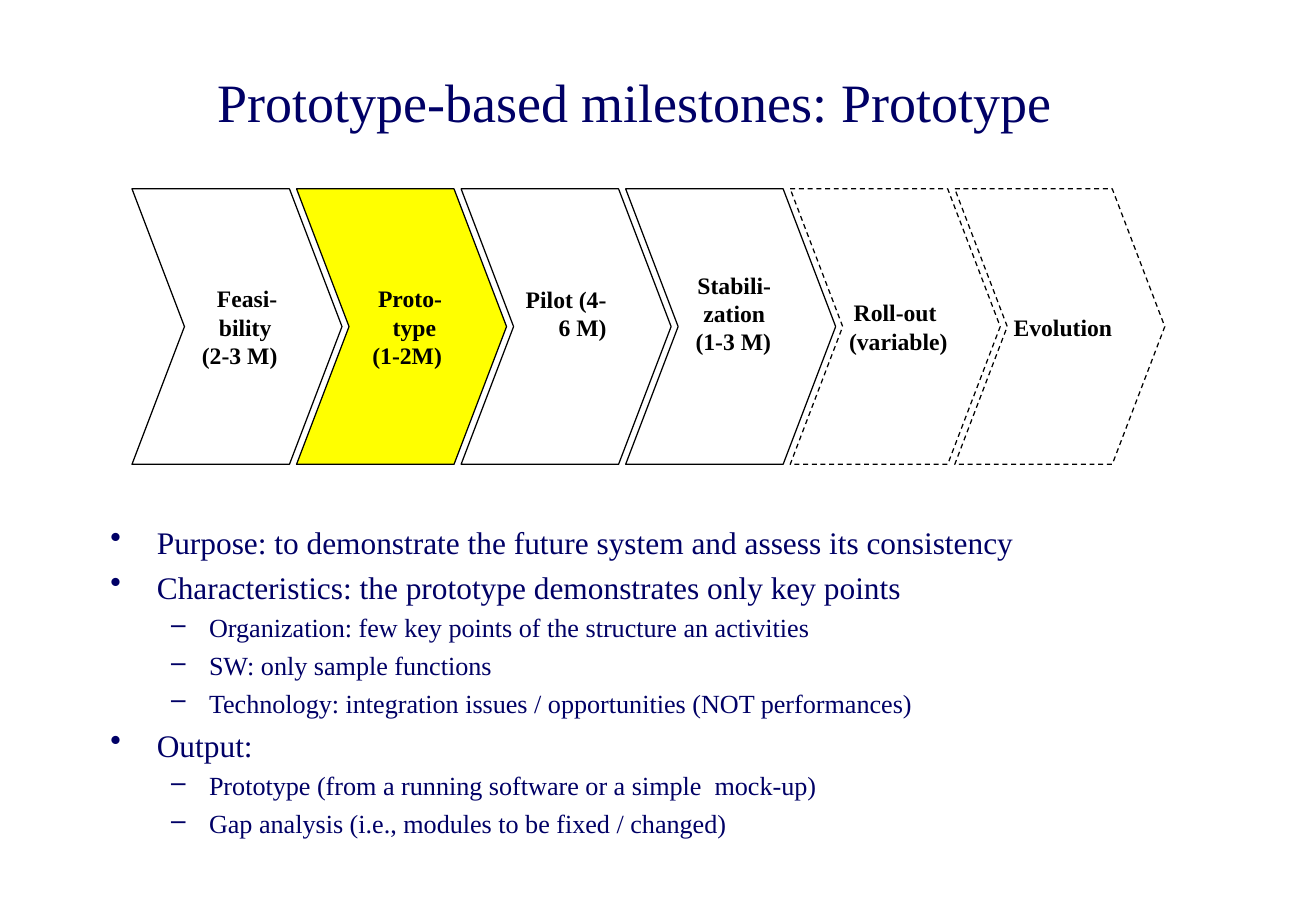
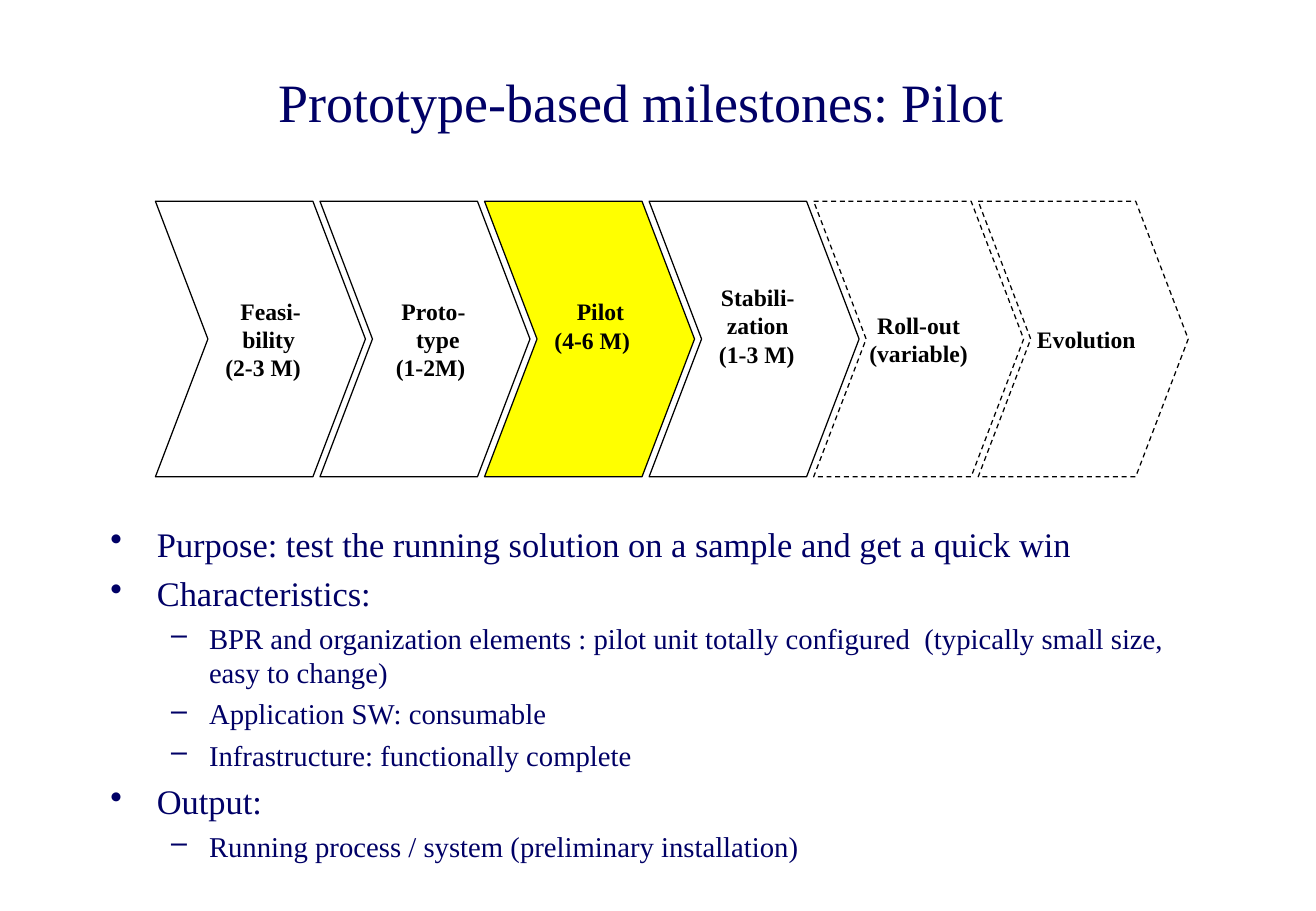
from dataclasses import dataclass

from lxml.etree import SubElement
from pptx import Presentation
from pptx.dml.color import RGBColor
from pptx.enum.dml import MSO_LINE
from pptx.enum.shapes import MSO_SHAPE
from pptx.enum.text import MSO_ANCHOR, PP_ALIGN
from pptx.oxml.ns import qn
from pptx.util import Cm, Pt

FONT = "Times New Roman"
NAVY, BLACK, WHITE, YELLOW = "000066", "000000", "FFFFFF", "FFFF00"
INSET_SIDE, INSET_EDGE, BLANK_LINE = 0.25, 0.13, 0.57
CHEVRON_WIDTH, CHEVRON_HEIGHT, CHEVRON_STEP = 4.39, 5.76, 3.44
SPACE_RATIO = 0.24
RIGHT, CENTER = PP_ALIGN.RIGHT, PP_ALIGN.CENTER


@dataclass(frozen=True)
class Level:
    bullet: str
    margin: float
    hanging: float


@dataclass(frozen=True)
class Phase:
    lines: tuple[str, ...]
    alignments: tuple[PP_ALIGN, ...] = (RIGHT, RIGHT)
    left_inset: float = INSET_SIDE
    right_inset: float = INSET_SIDE
    raised: bool = False
    dashed: bool = False


@dataclass(frozen=True)
class Milestone:
    title: str
    phases: tuple[Phase, ...]
    current: int
    chain_left: float
    chain_top: float
    sizes: tuple[float, float]
    points: tuple[tuple[int, str], ...]


LEVELS = (Level("•", 0.97, 0.97), Level("–", 2.06, 0.79))

# Phases of the process
FEASIBILITY = Phase(("Feasi-bility ", "(2-3 M) "))
PROTOTYPE = Phase(("Proto-type ", "(1-2M)"))
STABILIZATION = Phase(("Stabili-zation ", "(1-3 M)"), left_inset=0, raised=True)
EVOLUTION = Phase(("Evolution",), left_inset=0, right_inset=0, dashed=True)


def pilot(*lines: str) -> Phase:
    return Phase(lines, raised=True)


def roll_out(last_alignment: PP_ALIGN) -> Phase:
    return Phase(("Roll-out", "(variable)"), (CENTER, last_alignment), 0, 0, dashed=True)


MILESTONES = (
    Milestone(
        "Prototype-based milestones: Prototype ",
        (FEASIBILITY, PROTOTYPE, pilot("Pilot (4-6 M)"), STABILIZATION,
         roll_out(RIGHT), EVOLUTION),
        1, 2.76, 3.95, (18.6, 15.5),
        (
            (0, "Purpose: to demonstrate the future system and assess its consistency"),
            (0, "Characteristics: the prototype demonstrates only key points"),
            (1, "Organization: few key points of the structure an activities"),
            (1, "SW: only sample functions"),
            (1, "Technology: integration issues / opportunities (NOT performances)"),
            (0, "Output:"),
            (1, "Prototype (from a running software or a simple  mock-up)"),
            (1, "Gap analysis (i.e., modules to be fixed / changed)"),
        ),
    ),
    Milestone(
        "Prototype-based milestones: Pilot",
        (FEASIBILITY, PROTOTYPE, pilot("Pilot ", "(4-6 M)"), STABILIZATION,
         roll_out(CENTER), EVOLUTION),
        2, 3.25, 4.21, (20.4, 17),
        (
            (0, "Purpose: test the running solution on a sample and get a quick win"),
            (0, "Characteristics:"),
            (1, "BPR and organization elements : pilot unit totally configured  "
                "(typically small size, easy to change)"),
            (1, "Application SW: consumable"),
            (1, "Infrastructure: functionally complete"),
            (0, "Output:"),
            (1, "Running process / system (preliminary installation)"),
        ),
    ),
)


def color(value: str) -> RGBColor:
    return RGBColor.from_string(value)


def apply(target, values: dict) -> None:
    for name, value in values.items():
        setattr(target, name, value)


def format_frame(frame, anchor: MSO_ANCHOR, left: float = INSET_SIDE,
                 right: float = INSET_SIDE, bottom: float = INSET_EDGE) -> None:
    apply(frame, {
        "word_wrap": True, "vertical_anchor": anchor,
        "margin_left": Cm(left), "margin_right": Cm(right),
        "margin_top": Cm(INSET_EDGE), "margin_bottom": Cm(bottom),
    })


def write(frame, index: int, text: str, size: float, text_color: str,
          alignment: PP_ALIGN, bold: bool = False):
    paragraph = frame.add_paragraph() if index else frame.paragraphs[0]
    paragraph.alignment = alignment
    run = paragraph.add_run()
    run.text = text
    apply(run.font, {"name": FONT, "size": Pt(size), "bold": bold})
    run.font.color.rgb = color(text_color)
    return paragraph


def add_title(slide, title: str) -> None:
    frame = slide.shapes.add_textbox(Cm(2.06), Cm(0.84), Cm(22.71), Cm(2.54)).text_frame
    format_frame(frame, MSO_ANCHOR.MIDDLE)
    write(frame, 0, title, 32, NAVY, CENTER)


def add_points(slide, milestone: Milestone) -> None:
    frame = slide.shapes.add_textbox(Cm(2.06), Cm(10.8), Cm(23.39), Cm(6.15)).text_frame
    format_frame(frame, MSO_ANCHOR.TOP)
    for index, (depth, text) in enumerate(milestone.points):
        level, size = LEVELS[depth], milestone.sizes[depth]
        paragraph = write(frame, index, text, size, NAVY, PP_ALIGN.LEFT)
        paragraph.level = depth
        if index:
            paragraph.space_before = Pt(SPACE_RATIO * size)
        # Bullet and hanging indent
        properties = paragraph._p.get_or_add_pPr()
        properties.set("marL", str(Cm(level.margin)))
        properties.set("indent", str(-Cm(level.hanging)))
        SubElement(properties, qn("a:buChar")).set("char", level.bullet)


def add_chevron(shapes, phase: Phase, left: float, top: float, fill: str) -> None:
    shape = shapes.add_shape(MSO_SHAPE.CHEVRON, Cm(left), Cm(top),
                             Cm(CHEVRON_WIDTH), Cm(CHEVRON_HEIGHT))
    shape.adjustments[0] = 0.25
    shape.shadow.inherit = False
    shape.fill.solid()
    shape.fill.fore_color.rgb = color(fill)
    shape.line.color.rgb = color(BLACK)
    shape.line.width = Pt(0.75)
    if phase.dashed:
        shape.line.dash_style = MSO_LINE.DASH
    bottom = INSET_EDGE + (BLANK_LINE if phase.raised else 0)
    format_frame(shape.text_frame, MSO_ANCHOR.MIDDLE, phase.left_inset,
                 phase.right_inset, bottom)
    for index, (text, alignment) in enumerate(zip(phase.lines, phase.alignments)):
        write(shape.text_frame, index, text, 14, BLACK, alignment, bold=True)


def add_chain(slide, milestone: Milestone) -> None:
    shapes = slide.shapes.add_group_shape().shapes
    for index, phase in enumerate(milestone.phases):
        fill = YELLOW if index == milestone.current else WHITE
        add_chevron(shapes, phase, milestone.chain_left + index * CHEVRON_STEP,
                    milestone.chain_top, fill)


def main() -> None:
    presentation = Presentation()
    apply(presentation, {"slide_width": Cm(27.51), "slide_height": Cm(19.05)})
    for milestone in MILESTONES:
        slide = presentation.slides.add_slide(presentation.slide_layouts[6])
        add_title(slide, milestone.title)
        add_points(slide, milestone)
        add_chain(slide, milestone)
    presentation.save("out.pptx")


if __name__ == "__main__":
    main()
